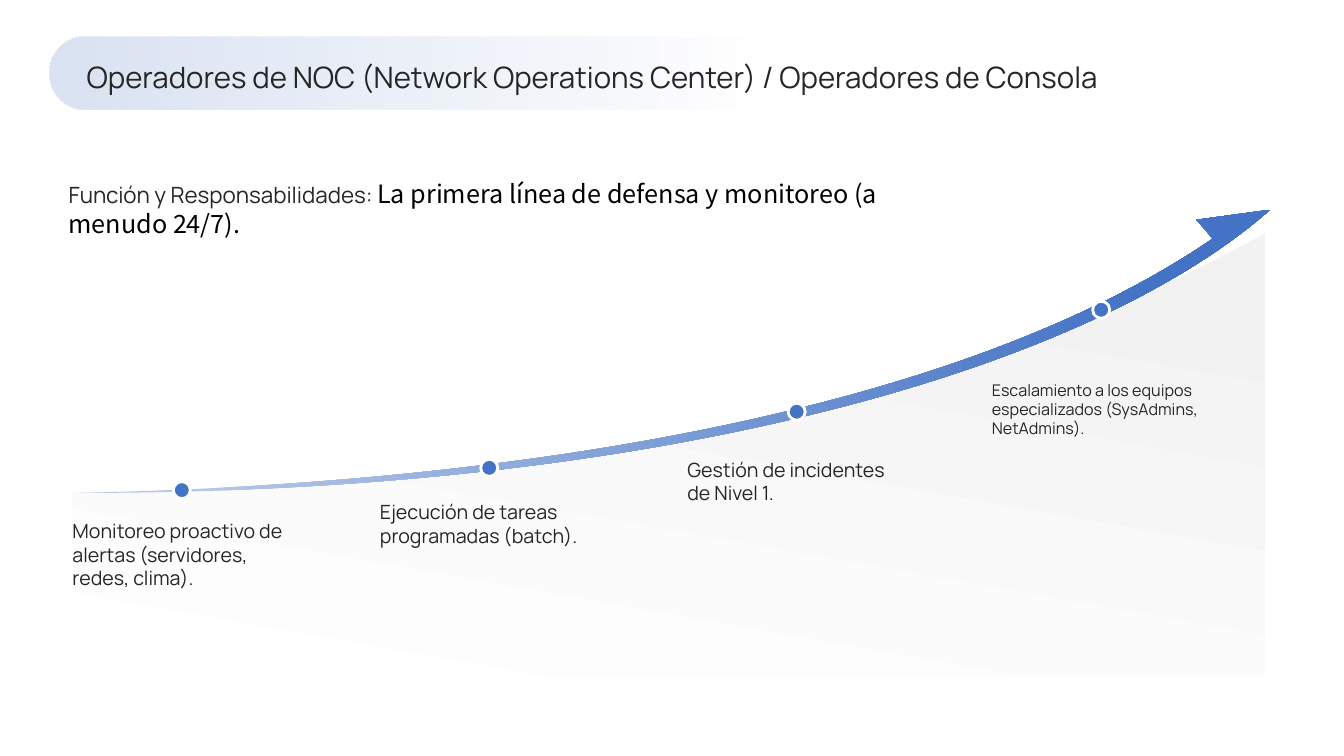
from dataclasses import dataclass

from lxml.etree import SubElement
from pptx import Presentation
from pptx.dml.color import RGBColor
from pptx.enum.shapes import MSO_SHAPE as Preset
from pptx.enum.text import MSO_ANCHOR as Anchor
from pptx.oxml.ns import qn
from pptx.shapes.autoshape import Shape
from pptx.slide import Slide
from pptx.util import Pt

WHITE = RGBColor(0xFF, 0xFF, 0xFF)
BLACK = RGBColor(0x00, 0x00, 0x00)
INK = RGBColor(0x26, 0x26, 0x26)
GREY = RGBColor(0xF2, 0xF2, 0xF2)
BLUE = RGBColor(0x44, 0x72, 0xC4)
LIGHT_BLUE = RGBColor(0xB4, 0xC7, 0xE7)
PALE_BLUE = RGBColor(0xDA, 0xE3, 0xF3)

MAIN_FONT = "Manrope"
ACCENT_FONT = "Noto Sans CJK SC"
DOT_SIZE = 12.2
DOT_INDENT = 72
LABEL_WIDTH, LABEL_HEIGHT = 156.2, 86.4

Point = tuple[float, float]
Segment = tuple[Point, ...]


@dataclass(frozen=True)
class Stop:
    percent: int
    color: RGBColor
    opacity: int = 100


@dataclass(frozen=True)
class Run:
    text: str
    size: float
    font: str = MAIN_FONT
    color: RGBColor = INK


@dataclass(frozen=True)
class Milestone:
    left: float
    dot_top: float
    label_top: float
    text: str
    size: float = 14


MILESTONES = [
    Milestone(51.8, 344, 370.8, "Monitoreo proactivo de alertas (servidores, redes, clima)."),
    Milestone(271.4, 328.1, 357.1, "Ejecución de tareas programadas (batch)."),
    Milestone(491, 288, 326.9, "Gestión de incidentes de Nivel 1."),
    Milestone(708.5, 215.2, 271.4,
              "Escalamiento a los equipos especializados (SysAdmins, NetAdmins).", 11.5),
]


def fill_gradient(shape: Shape, stops: tuple[Stop, Stop], angle: float = 0) -> None:
    shape.shadow.inherit = False
    shape.line.fill.background()
    shape.fill.gradient()
    shape.fill.gradient_angle = angle
    for target, stop in zip(shape.fill.gradient_stops, stops):
        target.position = stop.percent / 100
        target.color.rgb = stop.color
    if stops[-1].opacity < 100:
        colors = list(shape.element.spPr.iter(qn("a:srgbClr")))
        SubElement(colors[-1], qn("a:alpha"), val=str(stops[-1].opacity * 1000))


def add_outline(slide: Slide, start: Point, segments: list[Segment]) -> Shape:
    builder = slide.shapes.build_freeform(Pt(start[0]), Pt(start[1]))
    builder.add_line_segments([(Pt(x), Pt(y)) for segment in segments for x, y in segment],
                              close=True)
    shape = builder.convert_to_shape()
    lines = iter(list(shape.element.iter(qn("a:lnTo"))))
    for segment in segments:
        first, *others = [next(lines) for _ in segment]
        if others:
            first.tag = qn("a:cubicBezTo")
        for line in others:
            first.append(line[0])
            line.getparent().remove(line)
    return shape


def add_text(slide: Slide, *runs: Run, left: float, top: float, width: float, height: float,
             anchor: Anchor = Anchor.TOP, bottom_inset: float = 0) -> None:
    box = slide.shapes.add_textbox(Pt(left), Pt(top), Pt(width), Pt(height))
    frame = box.text_frame
    frame.word_wrap = True
    frame.vertical_anchor = anchor
    frame.margin_left = frame.margin_top = frame.margin_right = 0
    frame.margin_bottom = Pt(bottom_inset)
    paragraph = frame.paragraphs[0]
    for item in runs:
        run = paragraph.add_run()
        run.text = item.text
        run.font.name = item.font
        run.font.size = Pt(item.size)
        run.font.color.rgb = item.color


def add_growth_curve(slide: Slide) -> None:
    start = (51.8, 352.1)
    area = add_outline(slide, start, [
        ((51.8, 483.1),),
        ((903.6, 483.1),),
        ((903.6, 483.1), (903.6, 240.5), (903.6, 167)),
        ((632.2, 316.1), (310.3, 352.1), start),
    ])
    fill_gradient(area, (Stop(0, WHITE), Stop(90, GREY)), angle=80)

    arrow = add_outline(slide, (907.2, 149.8), [
        ((779, 262.8), (474.5, 352.8), start),
        ((366.5, 346.3), (684.7, 294.5), (866.2, 170.6)),
        ((861.8, 164.9), (854.6, 157), (854.6, 157)),
        ((907.2, 149.8),),
    ])
    fill_gradient(arrow, (Stop(10, LIGHT_BLUE), Stop(90, BLUE)))


def add_milestone(slide: Slide, milestone: Milestone) -> None:
    dot = slide.shapes.add_shape(Preset.OVAL, Pt(milestone.left + DOT_INDENT),
                                 Pt(milestone.dot_top), Pt(DOT_SIZE), Pt(DOT_SIZE))
    dot.shadow.inherit = False
    dot.fill.solid()
    dot.fill.fore_color.rgb = BLUE
    dot.line.color.rgb = WHITE
    dot.line.width = Pt(2)
    add_text(slide, Run(milestone.text, milestone.size), left=milestone.left,
             top=milestone.label_top, width=LABEL_WIDTH, height=LABEL_HEIGHT)


def add_title(slide: Slide) -> None:
    band = slide.shapes.add_shape(Preset.ROUNDED_RECTANGLE, Pt(35.7), Pt(26.3), Pt(643.7), Pt(52))
    band.adjustments[0] = 0.5
    fill_gradient(band, (Stop(0, PALE_BLUE), Stop(80, PALE_BLUE, opacity=0)))
    add_text(slide,
             Run("Operadores de NOC (Network Operations Center) / Operadores de Consola", 21),
             left=61.9, top=36.7, width=840.2, height=36.7, anchor=Anchor.MIDDLE)


def main() -> None:
    presentation = Presentation()
    presentation.slide_width, presentation.slide_height = Pt(960), Pt(540)
    slide = presentation.slides.add_slide(presentation.slide_layouts[6])
    add_growth_curve(slide)
    add_text(slide, Run("Función y Responsabilidades: ", 16),
             Run("La primera línea de defensa y monitoreo (a menudo 24/7).", 18,
                 ACCENT_FONT, BLACK),
             left=49, top=105.8, width=581, height=105.8, anchor=Anchor.MIDDLE,
             bottom_inset=20)
    for milestone in MILESTONES:
        add_milestone(slide, milestone)
    add_title(slide)
    presentation.save("out.pptx")


if __name__ == "__main__":
    main()
